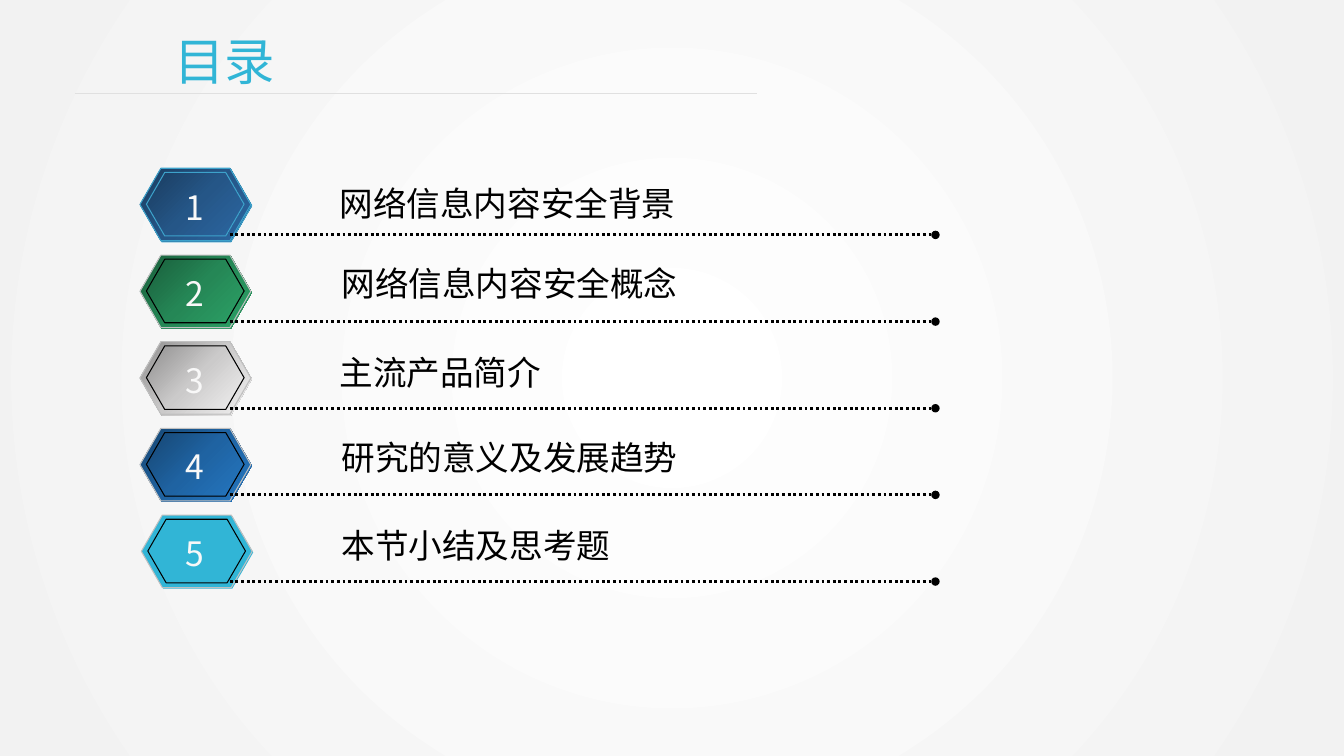
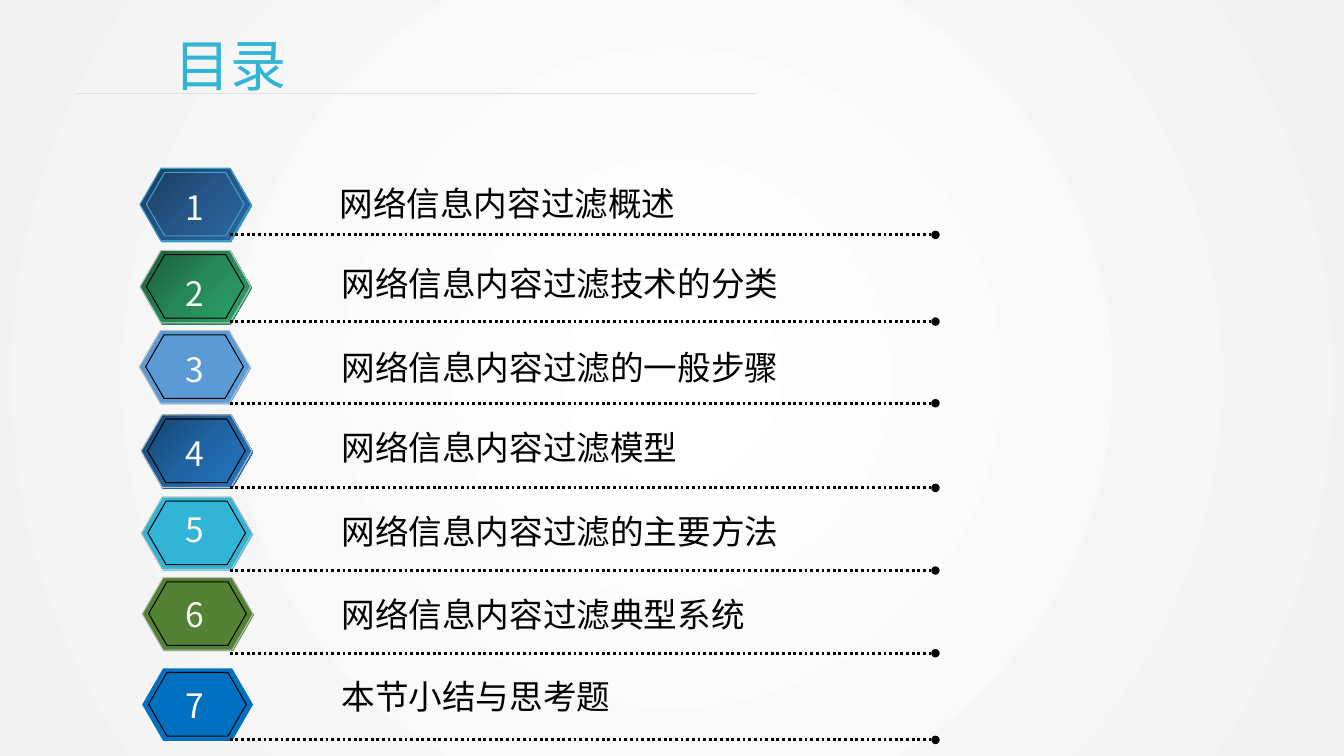
from typing import NamedTuple

from lxml import etree
from pptx import Presentation
from pptx.dml.color import RGBColor
from pptx.enum.dml import MSO_LINE
from pptx.enum.shapes import MSO_CONNECTOR, MSO_SHAPE
from pptx.enum.text import MSO_ANCHOR, MSO_AUTO_SIZE, PP_ALIGN
from pptx.oxml.ns import qn
from pptx.util import Pt

HEXAGON = MSO_SHAPE.HEXAGON
STRAIGHT = MSO_CONNECTOR.STRAIGHT
DOTTED = MSO_LINE.ROUND_DOT
TOP = MSO_ANCHOR.TOP
NO_FIT = MSO_AUTO_SIZE.NONE
LEFT, CENTER = PP_ALIGN.LEFT, PP_ALIGN.CENTER

FONT = "Noto Sans CJK SC"
TITLE_ONLY = 5
LINE_HEIGHT = 1.28
COLORS = {
    "title": "31B5D6",
    "rule": "E0E0E0",
    "text": "000000",
    "number": "F8F8F8",
    "rim": "C0C0C0",
    "navy_rim": "3DA2CB",
    "center": "FFFFFF",
    "edge": "F2F2F2",
}
BADGE_FILLS = {
    "navy": ["1A3C5F", "255687", "2B66A1"],
    "green": ["1A5F3C", "258756", "2BA166"],
    "silver": ["8F8E8E", "CBCACA", "F1F0F0"],
    "blue": ["164672", "1F63A2", "2476C0"],
    "cyan": ["31B5D6"],
    "sky": ["5B9BD5"],
    "olive": ["548235"],
    "azure": ["0070C0"],
}


class Entry(NamedTuple):
    topic: str
    fill: str
    badge_x: float
    badge_y: float
    number_y: float
    topic_x: float
    topic_y: float
    leader_y: float


def rgb(value):
    return RGBColor.from_string(value)


class Agenda:
    def __init__(self):
        self.deck = Presentation()
        self.deck.slide_width, self.deck.slide_height = Pt(960), Pt(540)
        master = self.deck.slide_master
        master.background.fill.gradient()
        gradient = self.set_stops(master.element, [COLORS["center"], COLORS["edge"]])
        gradient.remove(gradient.find(qn("a:lin")))
        shade = etree.SubElement(gradient, qn("a:path"), {"path": "circle"})
        sides = {side: "50000" for side in "ltrb"}
        etree.SubElement(shade, qn("a:fillToRect"), sides)
        self.slide = None

    def set_stops(self, element, colors):
        gradient = next(element.iter(qn("a:gradFill")))
        stops = gradient.find(qn("a:gsLst"))
        for stop in list(stops):
            stops.remove(stop)
        for i, color in enumerate(colors):
            position = str(100000 * i // (len(colors) - 1))
            stop = etree.SubElement(stops, qn("a:gs"), {"pos": position})
            etree.SubElement(stop, qn("a:srgbClr"), {"val": color})
        return gradient

    def set_text(self, frame, text, size, color, align=LEFT):
        frame.word_wrap = True
        frame.auto_size = NO_FIT
        frame.vertical_anchor = TOP
        paragraph = frame.paragraphs[0]
        paragraph.alignment = align
        paragraph.line_spacing = Pt(round(size * LINE_HEIGHT, 2))
        run = paragraph.add_run()
        run.text = text
        run.font.size = Pt(size)
        run.font.color.rgb = rgb(COLORS[color])
        run.font.name = FONT
        latin = run.font._element.find(qn("a:latin"))
        latin.addnext(etree.Element(qn("a:ea"), {"typeface": FONT}))

    def start(self, title, size):
        self.slide = self.deck.slides.add_slide(self.deck.slide_layouts[TITLE_ONLY])
        heading = self.slide.shapes.title
        heading.left, heading.top = Pt(117.4), Pt(15)
        heading.width, heading.height = Pt(612), Pt(54)
        self.set_text(heading.text_frame, title, size, "title")
        self.line(53.3, 540.7, 66.5, "rule", 0.5)

    def line(self, x1, x2, y, color, width):
        line = self.slide.shapes.add_connector(STRAIGHT, Pt(x1), Pt(y), Pt(x2), Pt(y))
        line.line.color.rgb = rgb(COLORS[color])
        line.line.width = Pt(width)
        etree.SubElement(line._element.spPr, qn("a:effectLst"))
        return line

    def leader(self, y):
        leader = self.line(164.2, 668.2, y, "text", 2)
        leader.line.dash_style = DOTTED
        outline = leader._element.spPr.find(qn("a:ln"))
        etree.SubElement(outline, qn("a:tailEnd"), {"type": "oval"})

    def text(self, x, y, width, text, color, align=LEFT):
        box = self.slide.shapes.add_textbox(Pt(x), Pt(y), Pt(width), Pt(38))
        self.set_text(box.text_frame, text, 24, color, align)

    def hexagon(self, group, x, y, width, height, fill, rim):
        hexagon = group.shapes.add_shape(HEXAGON, Pt(x), Pt(y), Pt(width), Pt(height))
        hexagon.shadow.inherit = False
        hexagon.adjustments[0] = 0.289
        colors = BADGE_FILLS[fill]
        if len(colors) > 1:
            hexagon.fill.gradient()
            gradient = self.set_stops(hexagon._element, colors)
            gradient.find(qn("a:lin")).set("ang", "2700000")
        else:
            hexagon.fill.solid()
            hexagon.fill.fore_color.rgb = rgb(colors[0])
        if rim:
            hexagon.line.color.rgb = rgb(COLORS[rim])
            hexagon.line.width = Pt(0.75)
        else:
            hexagon.line.fill.background()

    def badge(self, x, y, fill):
        group = self.slide.shapes.add_group_shape()
        back_rim, front_rim, inner_rim = {
            "navy": ("navy_rim",) * 3,
            "azure": (None, None, "text"),
        }.get(fill, (None, "rim", "text"))
        if fill != "azure":
            self.hexagon(group, x + 0.7, y + 0.8, 79.2, 51.8, fill, back_rim)
        self.hexagon(group, x, y, 79.2, 51.8, fill, front_rim)
        self.hexagon(group, x + 4.6, y + 3, 69.8, 45.4, fill, inner_rim)

    def entries(self, entries):
        for number, entry in enumerate(entries, 1):
            self.badge(entry.badge_x, entry.badge_y, entry.fill)
            self.leader(entry.leader_y)
            self.text(entry.topic_x, entry.topic_y, 360, entry.topic, "text")
            self.text(119, entry.number_y, 40, str(number), "number", CENTER)


OVERVIEW = [
    Entry("网络信息内容安全背景", "navy", 100, 120.2, 128.2, 235.4, 125.3, 167.8),
    Entry("网络信息内容安全概念", "green", 100, 182.2, 189.6, 236.9, 182.2, 229.7),
    Entry("主流产品简介", "silver", 100, 244.1, 251.3, 235.4, 246.2, 291.6),
    Entry("研究的意义及发展趋势", "blue", 100, 306, 313.2, 236.9, 306.7, 353.5),
    Entry("本节小结及思考题", "cyan", 101, 367.9, 375.1, 236.9, 369.4, 415.4),
]
FILTERING = [
    Entry("网络信息内容过滤概述", "navy", 100, 120.2, 128.2, 235.4, 125.3, 167.8),
    Entry("网络信息内容过滤技术的分类", "green", 100, 178.9, 189.6, 236.9, 182.2, 229.7),
    Entry("网络信息内容过滤的一般步骤", "sky", 99.5, 236.2, 243.4, 236.9, 242.6, 288),
    Entry("网络信息内容过滤模型", "blue", 100.8, 296.3, 303.8, 236.9, 299.5, 348.5),
    Entry("网络信息内容过滤的主要方法", "cyan", 101, 355, 357.8, 236.9, 359.3, 407.5),
    Entry("网络信息内容过滤典型系统", "olive", 101.6, 412.6, 419, 236.9, 419, 466.6),
    Entry("本节小结与思考题", "azure", 101.6, 477.4, 483.8, 236.9, 477.4, 528.5),
]


def main():
    agenda = Agenda()
    for title_size, entries in ((36, OVERVIEW), (40, FILTERING)):
        agenda.start("目录", title_size)
        agenda.entries(entries)
    agenda.deck.save("out.pptx")


if __name__ == "__main__":
    main()
